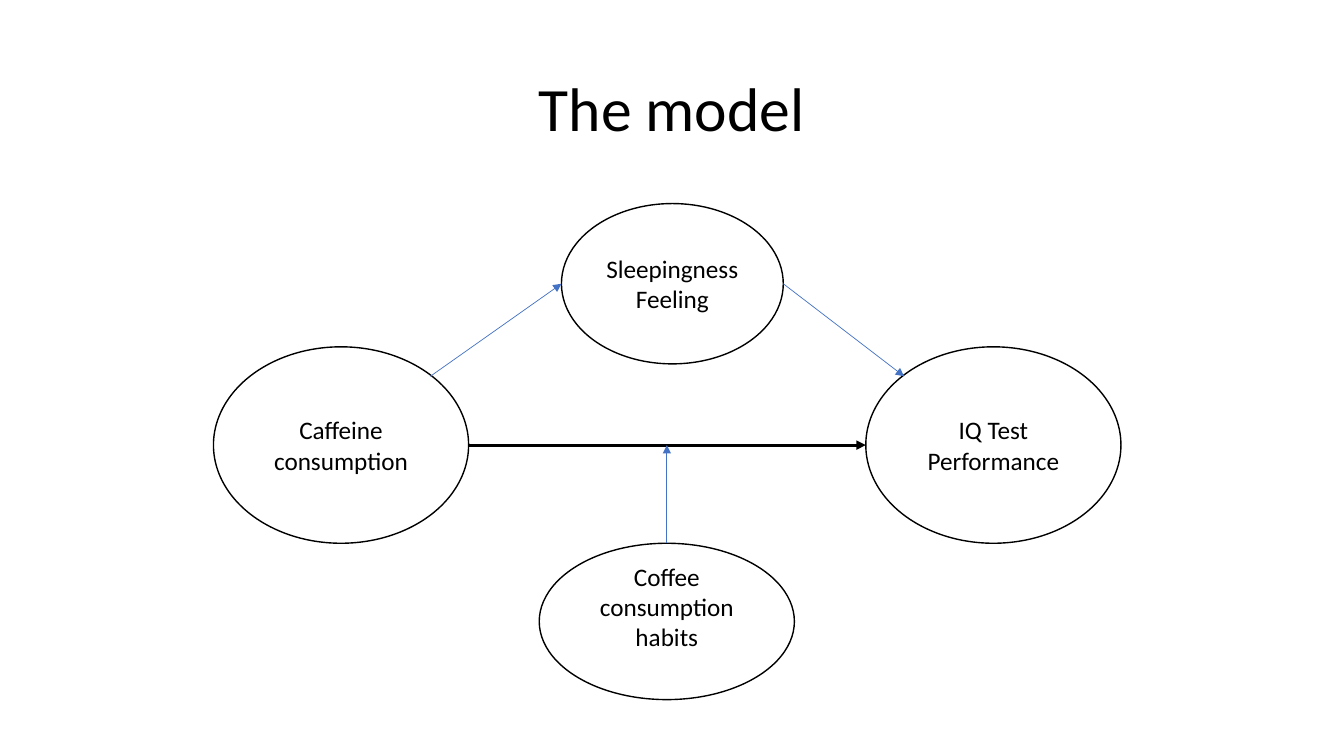
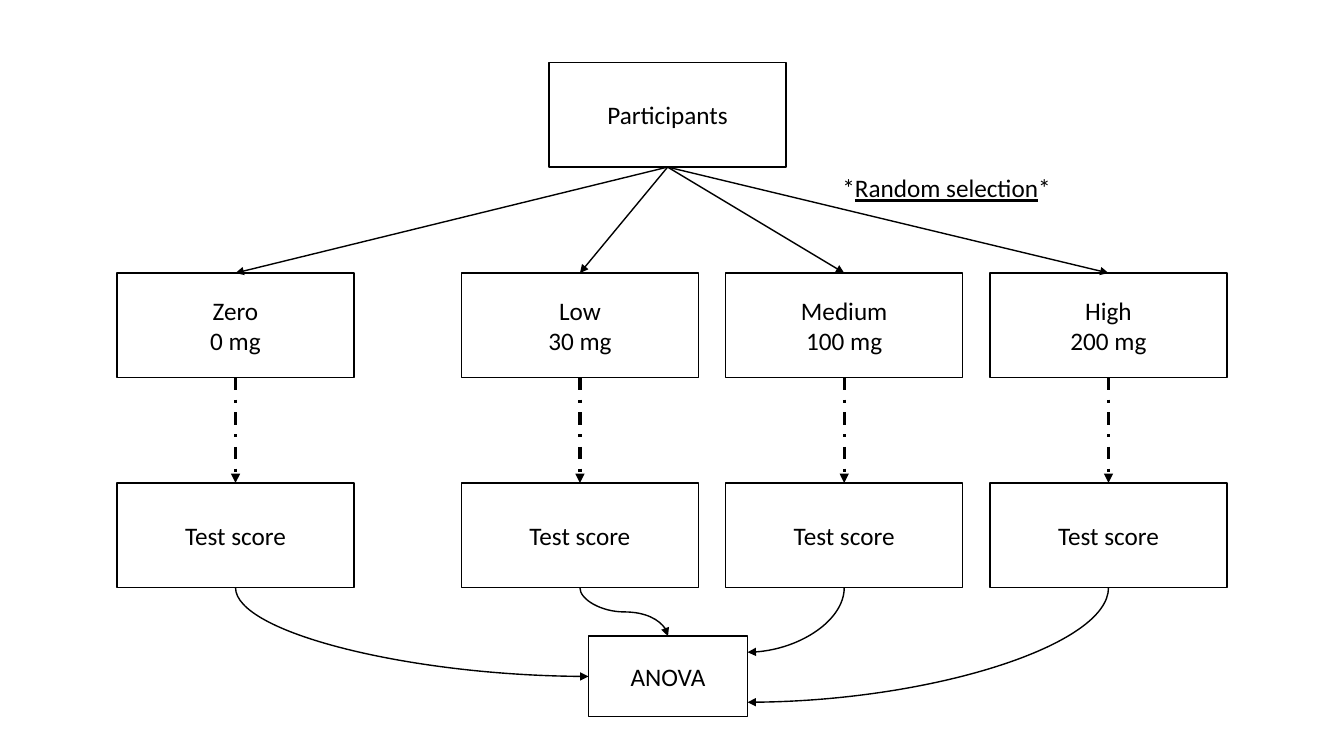
from lxml import etree
from pptx import Presentation
from pptx.dml.color import RGBColor
from pptx.enum.dml import MSO_LINE
from pptx.enum.shapes import MSO_CONNECTOR, MSO_SHAPE
from pptx.enum.text import MSO_ANCHOR, MSO_AUTO_SIZE, PP_ALIGN
from pptx.oxml.ns import qn
from pptx.util import Cm, Pt

ELLIPSE, BOX = MSO_SHAPE.OVAL, MSO_SHAPE.RECTANGLE
STRAIGHT, CURVE = MSO_CONNECTOR.STRAIGHT, MSO_CONNECTOR.CURVE
DASH_DOT = MSO_LINE.DASH_DOT
LEFT, CENTER = PP_ALIGN.LEFT, PP_ALIGN.CENTER
MIDDLE = MSO_ANCHOR.MIDDLE
GROW = MSO_AUTO_SIZE.SHAPE_TO_FIT_TEXT

FONT = "Calibri"
COLORS = {"ink": "000000", "paper": "FFFFFF", "accent": "4472C4"}
TOP_SITE, BOTTOM_SITE = 0, 2
TOP, BOTTOM = (0.5, 0), (0.5, 1)
LEFT_SIDE, RIGHT_SIDE = (0, 0.5), (1, 0.5)
UPPER_LEFT, UPPER_RIGHT = (0.15, 0.15), (0.85, 0.15)


def color(name):
    return RGBColor.from_string(COLORS[name])


def write(frame, text, *, size=18, align=CENTER, underline=None):
    for index, line in enumerate(text.split("\n")):
        paragraph = frame.add_paragraph() if index else frame.paragraphs[-1]
        paragraph.alignment = align
        run = paragraph.add_run()
        run.text = line
        run.font.name = FONT
        run.font.size = Pt(size)
        run.font.underline = underline
        run.font.color.rgb = color("ink")


def point(shape, spot):
    across, down = spot
    return (int(shape.left + across * shape.width),
            int(shape.top + down * shape.height))


class Deck:
    def __init__(self):
        self.file = Presentation()
        self.file.slide_width = Cm(33.87)
        self.file.slide_height = Cm(19.05)
        self.slide = None

    def new_slide(self):
        self.slide = self.file.slides.add_slide(self.file.slide_layouts[6])

    def node(self, kind, text, left, top, width, height):
        shape = self.slide.shapes.add_shape(
            kind, Cm(left), Cm(top), Cm(width), Cm(height))
        shape.shadow.inherit = False
        shape.fill.solid()
        shape.fill.fore_color.rgb = color("paper")
        shape.line.color.rgb = color("ink")
        shape.line.width = Pt(1)
        shape.text_frame.word_wrap = True
        shape.text_frame.vertical_anchor = MIDDLE
        write(shape.text_frame, text)
        return shape

    def label(self, left, top, width, height):
        box = self.slide.shapes.add_textbox(
            Cm(left), Cm(top), Cm(width), Cm(height))
        box.text_frame.word_wrap = True
        box.text_frame.auto_size = GROW
        return box.text_frame

    def finish_arrow(self, arrow, tint="ink", weight=1, dash=None):
        arrow.line.color.rgb = color(tint)
        arrow.line.width = Pt(weight)
        if dash is not None:
            arrow.line.dash_style = dash
        outline = arrow.line._get_or_add_ln()
        etree.SubElement(outline, qn("a:tailEnd"), type="triangle")
        etree.SubElement(arrow._element.spPr, qn("a:effectLst"))
        return arrow

    def arrow(self, start, end, **style):
        line = self.slide.shapes.add_connector(STRAIGHT, *start, *end)
        return self.finish_arrow(line, **style)

    def drop(self, upper, lower, **style):
        line = self.arrow(point(upper, BOTTOM), point(lower, TOP), **style)
        line.begin_connect(upper, BOTTOM_SITE)
        line.end_connect(lower, TOP_SITE)

    def curve(self, start, end, preset="curvedConnector2"):
        (x1, y1), (x2, y2) = start, end
        mid_x, mid_y = (x1 + x2) // 2, (y1 + y2) // 2
        half_w, half_h = abs(x2 - x1) // 2, abs(y2 - y1) // 2
        line = self.slide.shapes.add_connector(
            CURVE, mid_x - half_h, mid_y - half_w,
            mid_x + half_h, mid_y + half_w)
        properties = line._element.spPr
        properties.find(qn("a:prstGeom")).set("prst", preset)
        frame = properties.find(qn("a:xfrm"))
        if x2 > x1:
            frame.set("rot", "16200000")
            frame.set("flipH", "1")
        else:
            frame.set("rot", "5400000")
        self.finish_arrow(line)


def model_slide(deck):
    deck.new_slide()
    side_top, side_width, side_height = 8.74, 6.43, 4.95
    caffeine = deck.node(ELLIPSE, "Caffeine consumption",
                         5.38, side_top, side_width, side_height)
    performance = deck.node(ELLIPSE, "IQ Test Performance",
                            21.82, side_top, side_width, side_height)
    cause, effect = point(caffeine, RIGHT_SIDE), point(performance, LEFT_SIDE)
    deck.arrow(cause, effect, weight=2.25)

    write(deck.label(5.38, 1.63, 23.11, 2.13), "The model", size=44)

    habits = deck.node(ELLIPSE, "Coffee consumption habits",
                       13.59, 13.69, side_width, 3.94)
    habits.text_frame.margin_bottom = Cm(0.89)
    sleepiness = deck.node(ELLIPSE, "Sleepingness\nFeeling",
                           14.15, 5.13, 5.59, 4.04)
    habits_top = point(habits, TOP)
    for start, end in (
        (habits_top, (habits_top[0], cause[1])),
        (point(caffeine, UPPER_RIGHT), point(sleepiness, LEFT_SIDE)),
        (point(sleepiness, RIGHT_SIDE), point(performance, UPPER_LEFT)),
    ):
        deck.arrow(start, end, tint="accent", weight=0.5)


def design_slide(deck):
    deck.new_slide()
    box_size = (5.97, 2.64)
    columns = [2.95] + [11.63 + 6.66 * step for step in range(3)]
    doses = ["Zero\n0 mg", "Low\n30 mg", "Medium\n100 mg", "High\n200 mg"]

    participants = deck.node(BOX, "Participants", 13.84, 1.57, *box_size)
    scores = []
    for left, dose in zip(columns, doses):
        group = deck.node(BOX, dose, left, 6.88, *box_size)
        score = deck.node(BOX, "Test score", left, 12.17, *box_size)
        deck.drop(participants, group)
        deck.drop(group, score, weight=2.25, dash=DASH_DOT)
        scores.append(score)

    selection = deck.label(20.98, 4.22, 6.99, 1.02)
    write(selection, "*", align=LEFT)
    write(selection, "Random selection", align=LEFT, underline=True)
    write(selection, "*", align=LEFT)

    anova = deck.node(BOX, "ANOVA", 14.83, 16.03, 4.01, 2.03)
    zero, low, medium, high = [point(score, BOTTOM) for score in scores]
    deck.curve(zero, point(anova, LEFT_SIDE))
    deck.curve(low, point(anova, TOP), preset="curvedConnector3")
    deck.curve(medium, point(anova, (1, 0.2)))
    deck.curve(high, point(anova, (1, 0.82)))


def main():
    deck = Deck()
    model_slide(deck)
    design_slide(deck)
    deck.file.save("out.pptx")


if __name__ == "__main__":
    main()
